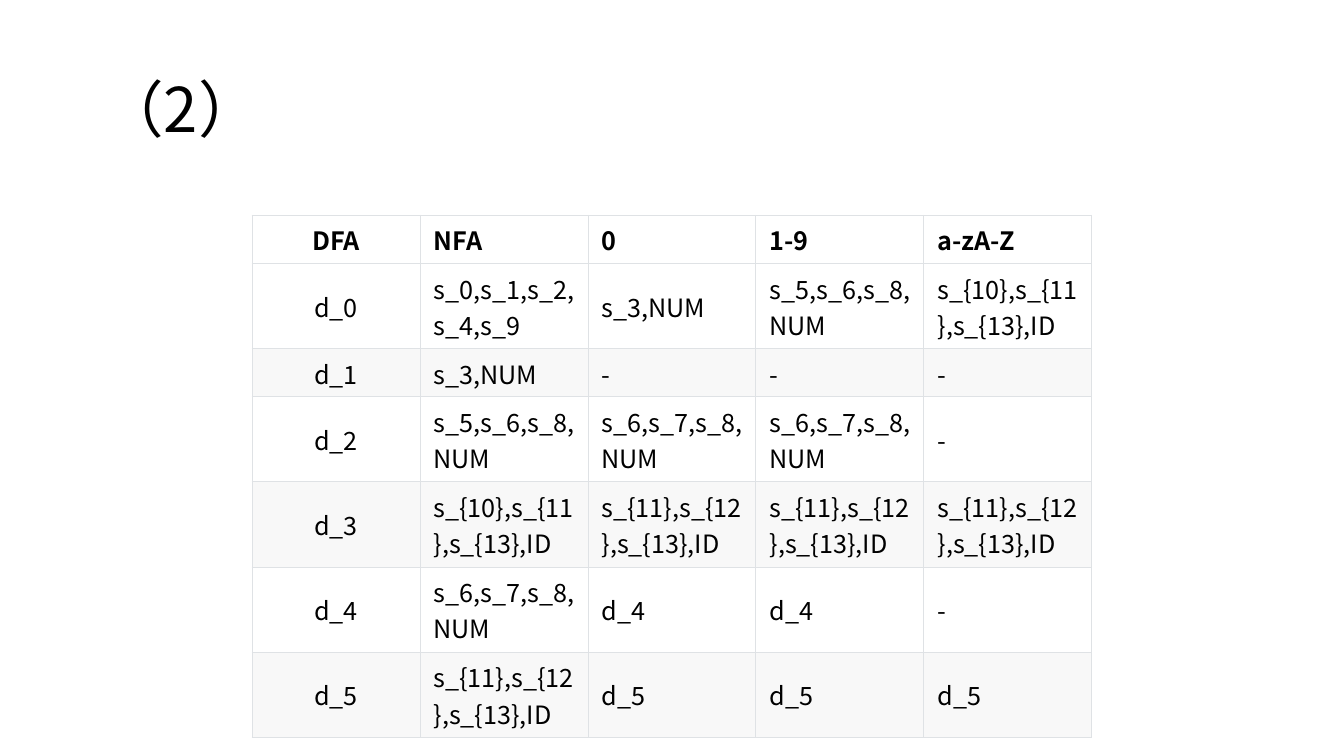
from lxml.etree import SubElement
from pptx import Presentation
from pptx.dml.color import RGBColor
from pptx.enum.text import MSO_ANCHOR as Anchor, PP_ALIGN as Align
from pptx.oxml.ns import qn
from pptx.util import Pt

PX = 9525  # EMU in one px, 96 px to the inch
FONT = "Noto Sans CJK SC"
BLACK = RGBColor(0x00, 0x00, 0x00)
STRIPE = RGBColor(0xF8, 0xF8, 0xF8)
BORDER = RGBColor(0xDF, 0xE2, 0xE5)

COLUMN_WIDTH = 160
ROW_HEIGHTS = [46, 81, 46, 81, 81, 81, 81]

NUM_568 = "s_5,s_6,s_8,NUM"
NUM_678 = "s_6,s_7,s_8,NUM"
ID_10 = "s_{10},s_{11},s_{13},ID"
ID_11 = "s_{11},s_{12},s_{13},ID"
STATES = [
    ["DFA", "NFA", "0", "1-9", "a-zA-Z"],
    ["d_0", "s_0,s_1,s_2,s_4,s_9", "s_3,NUM", NUM_568, ID_10],
    ["d_1", "s_3,NUM", "-", "-", "-"],
    ["d_2", NUM_568, NUM_678, NUM_678, "-"],
    ["d_3", ID_10, ID_11, ID_11, ID_11],
    ["d_4", NUM_678, "d_4", "d_4", "-"],
    ["d_5", ID_11, "d_5", "d_5", "d_5"],
]


def write(frame, text, size, align=Align.LEFT, bold=False):
    para = frame.paragraphs[0]
    para.alignment = align
    span = para.add_run()
    span.text = text
    for name, value in {"name": FONT, "size": Pt(size), "bold": bold}.items():
        setattr(span.font, name, value)
    span.font.color.rgb = BLACK
    SubElement(span.font._element, qn("a:ea"), typeface=FONT)
    return para


def draw_borders(cell):
    properties = cell._tc.get_or_add_tcPr()
    for side in ("lnL", "lnR", "lnT", "lnB"):
        line = SubElement(properties, qn(f"a:{side}"), w=str(Pt(0.75)))
        fill = SubElement(line, qn("a:solidFill"))
        SubElement(fill, qn("a:srgbClr"), val=str(BORDER))


deck = Presentation()
deck.slide_width, deck.slide_height = 1280 * PX, 720 * PX
page = deck.slides.add_slide(deck.slide_layouts[6])

# Title
title = page.shapes.add_textbox(88 * PX, 38 * PX, 1104 * PX, 139 * PX).text_frame
title.word_wrap = True
title.vertical_anchor = Anchor.MIDDLE
write(title, "（2）", 44).line_spacing = 0.9

# Transition table
table = page.shapes.add_table(
    len(STATES), len(STATES[0]), 240 * PX, 205 * PX,
    COLUMN_WIDTH * len(STATES[0]) * PX, sum(ROW_HEIGHTS) * PX,
).table
table.first_row = table.horz_banding = False
for column in table.columns:
    column.width = COLUMN_WIDTH * PX

cell_format = {
    "vertical_anchor": Anchor.MIDDLE,
    "margin_left": 13 * PX,
    "margin_right": 13 * PX,
    "margin_top": 6 * PX,
    "margin_bottom": 6 * PX,
}
for row, (height, values) in enumerate(zip(ROW_HEIGHTS, STATES)):
    table.rows[row].height = height * PX
    for column, value in enumerate(values):
        cell = table.cell(row, column)
        for name, setting in cell_format.items():
            setattr(cell, name, setting)
        draw_borders(cell)
        # Every second row of states is shaded
        if row > 0 and row % 2 == 0:
            cell.fill.solid()
            cell.fill.fore_color.rgb = STRIPE
        else:
            cell.fill.background()
        align = Align.CENTER if column == 0 else Align.LEFT
        write(cell.text_frame, value, 18, align, bold=row == 0)

deck.save("out.pptx")
